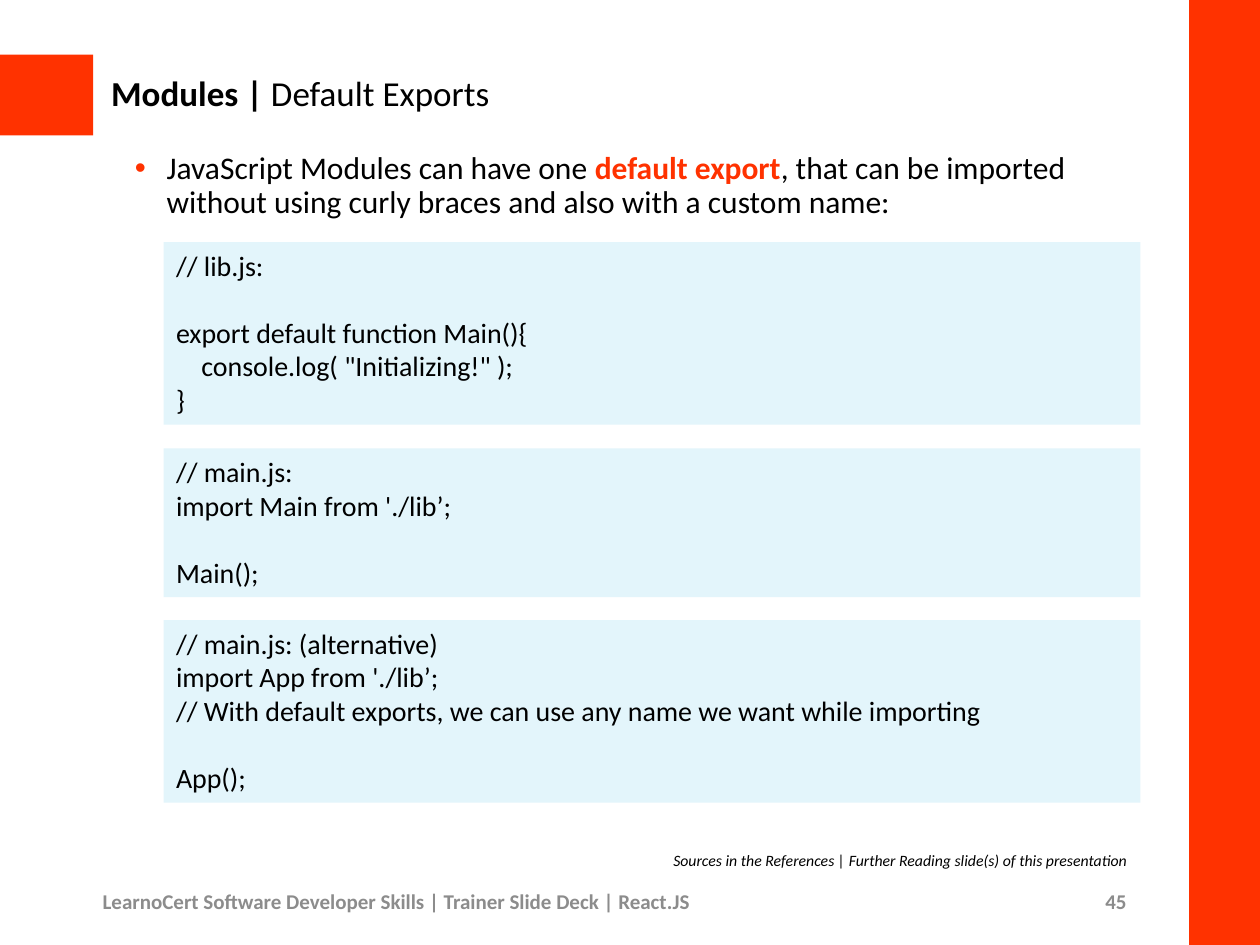
from lxml import etree
from pptx import Presentation
from pptx.dml.color import RGBColor
from pptx.enum.shapes import MSO_SHAPE
from pptx.enum.text import MSO_ANCHOR, MSO_AUTO_SIZE, PP_ALIGN
from pptx.oxml.ns import qn
from pptx.util import Cm, Pt

RECT = MSO_SHAPE.RECTANGLE
TOP, MIDDLE = MSO_ANCHOR.TOP, MSO_ANCHOR.MIDDLE
LEFT, RIGHT = PP_ALIGN.LEFT, PP_ALIGN.RIGHT
GROW = MSO_AUTO_SIZE.SHAPE_TO_FIT_TEXT

FONT = "Calibri"
RED, BLACK, GREY, PALE = "FF3200", "000000", "8C8C8C", "E3F5FB"
CODE_SIZE, CODE_LINE, CODE_INDENT = 16, 19.2, 0.51
CODE_LEFT, CODE_WIDTH = 3.3, 19.69


def rgb(value):
    return RGBColor.from_string(value)


class Deck:
    def __init__(self, width, height):
        self.prs = Presentation()
        self.prs.slide_width, self.prs.slide_height = Cm(width), Cm(height)
        self.s = self.prs.slides.add_slide(self.prs.slide_layouts[6])

    def run(self, p, text, size, color=BLACK, bold=False, italic=False):
        r = p.add_run()
        r.text = text
        r.font.name, r.font.size = FONT, Pt(size)
        r.font.bold, r.font.italic = bold, italic
        r.font.color.rgb = rgb(color)

    def rect(self, x, y, w, h, fill, line=None):
        sp = self.s.shapes.add_shape(RECT, Cm(x), Cm(y), Cm(w), Cm(h))
        sp.shadow.inherit = False
        sp.fill.solid()
        sp.fill.fore_color.rgb = rgb(fill)
        if line:
            sp.line.color.rgb = rgb(line)
            sp.line.width = Pt(0.75)
        else:
            sp.line.fill.background()
        return sp

    def text(self, x, y, w, h, anchor=TOP, align=LEFT, wrap=True):
        tf = self.s.shapes.add_textbox(Cm(x), Cm(y), Cm(w), Cm(h)).text_frame
        tf.word_wrap, tf.vertical_anchor = wrap, anchor
        p = tf.paragraphs[0]
        p.alignment = align
        return p

    def bullet(self, p, color, margin, indent):
        pPr = p._p.get_or_add_pPr()
        pPr.set("marL", str(Cm(margin)))
        pPr.set("indent", str(Cm(indent)))
        clr = etree.SubElement(pPr, qn("a:buClr"))
        etree.SubElement(clr, qn("a:srgbClr"), val=color)
        etree.SubElement(pPr, qn("a:buFont"), typeface="Arial")
        etree.SubElement(pPr, qn("a:buChar"), char="•")

    def code(self, y, h, lines):
        tf = self.rect(CODE_LEFT, y, CODE_WIDTH, h, PALE).text_frame
        tf.word_wrap, tf.auto_size, tf.vertical_anchor = True, GROW, TOP
        for i, (text, gap, level) in enumerate(lines):
            p = tf.add_paragraph() if i else tf.paragraphs[0]
            p.alignment = LEFT
            p.space_before = Pt(gap * CODE_LINE)
            p._p.get_or_add_pPr().set("marL", str(Cm(level * CODE_INDENT)))
            self.run(p, text, CODE_SIZE)


def main():
    d = Deck(25.4, 19.05)
    d.rect(0, 1.1, 1.88, 1.63, RED)
    d.rect(23.98, 0, 1.42, 19.05, RED, RED)

    p = d.text(1.99, 1.1, 20.98, 1.63, MIDDLE)
    p.line_spacing = 0.9
    d.run(p, "Modules |", 20, bold=True)
    d.run(p, " Default Exports", 20)

    p = d.text(1.99, 2.95, 20.98, 1.7)
    p.line_spacing, p.space_before = 0.9, Pt(7.5)
    d.bullet(p, RED, 1.12, -0.64)
    d.run(p, "JavaScript Modules can have one ", 18)
    d.run(p, "default export", 18, RED, bold=True)
    d.run(p, ", that can be imported without using curly braces "
             "and also with a custom name:", 18)

    d.code(4.88, 3.68, [
        ("// lib.js:", 0, 0),
        ("export default function Main(){", 1, 0),
        ('console.log( "Initializing!" );', 0, 1),
        ("}", 0, 0),
    ])
    d.code(9.04, 3, [
        ("// main.js:", 0, 0),
        ("import Main from './lib’;", 0, 0),
        ("Main();", 1, 0),
    ])
    d.code(12.5, 3.68, [
        ("// main.js: (alternative)", 0, 0),
        ("import App from './lib’;", 0, 0),
        ("// With default exports, we can use any name we want while importing", 0, 0),
        ("App();", 1, 0),
    ])

    p = d.text(13.21, 17.02, 9.75, 0.64, align=RIGHT, wrap=False)
    d.run(p, "Sources in the References | Further Reading slide(s) of this presentation",
          9, italic=True)
    p = d.text(1.82, 17.65, 14.12, 1.02, MIDDLE)
    d.run(p, "LearnoCert Software Developer Skills | Trainer Slide Deck | React.JS",
          12, GREY, bold=True)
    p = d.text(17.93, 17.65, 5.03, 1.02, MIDDLE, RIGHT)
    d.run(p, "45", 12, GREY, bold=True)

    d.prs.save("out.pptx")


if __name__ == "__main__":
    main()
